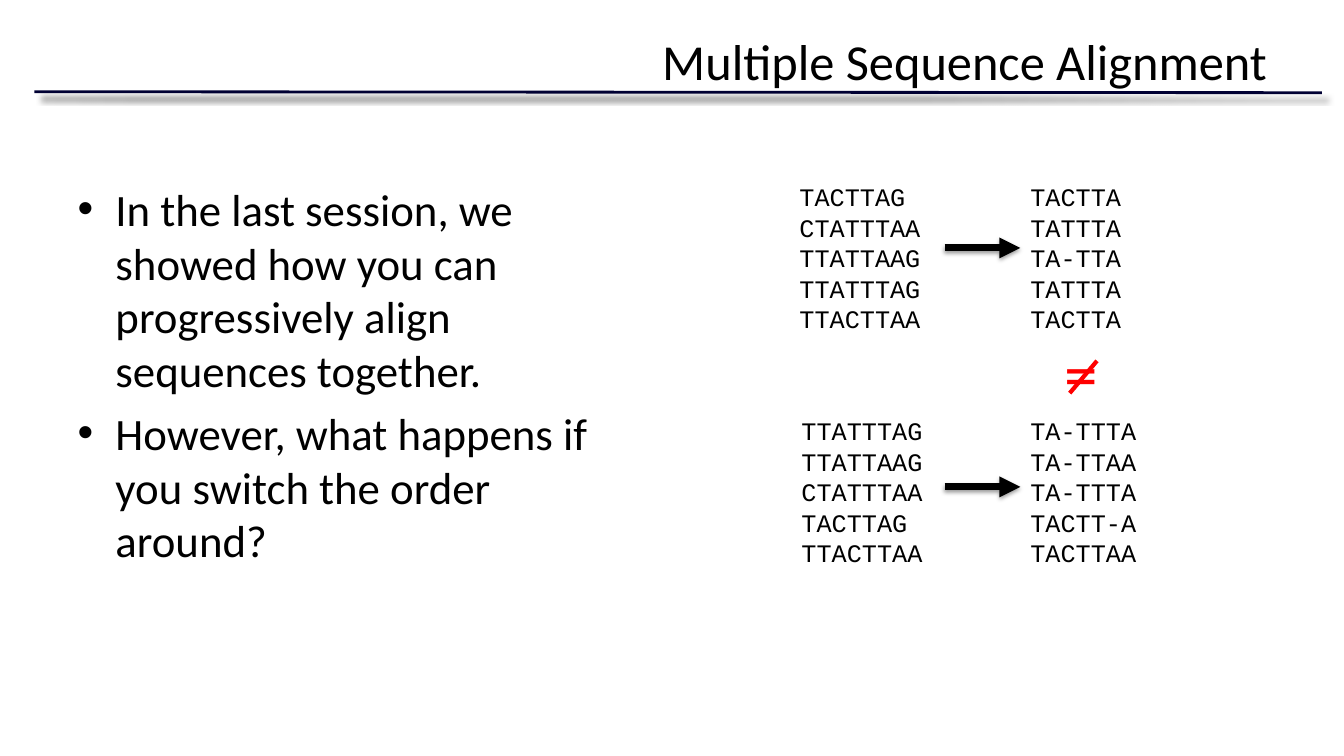
"""Build the Multiple Sequence Alignment slide."""
import pptx
import pptx.util
import pptx.dml.color
import pptx.enum.shapes
import pptx.enum.text
import pptx.oxml
import pptx.oxml.ns

Inches, Pt = pptx.util.Inches, pptx.util.Pt
RGBColor = pptx.dml.color.RGBColor
BLACK = RGBColor(0x00, 0x00, 0x00)
NAVY = RGBColor(0x00, 0x00, 0x33)
RED = RGBColor(0xFF, 0x00, 0x00)


def write(tf, text, size, font="Calibri", color=BLACK, align=None, spacing=None, wrap=True):
    tf.word_wrap = wrap
    tf.auto_size = pptx.enum.text.MSO_AUTO_SIZE.NONE
    tf.vertical_anchor = pptx.enum.text.MSO_ANCHOR.TOP
    for i, line in enumerate(text.split("\n")):
        p = tf.paragraphs[0] if i == 0 else tf.add_paragraph()
        p.alignment = align
        p.line_spacing = spacing
        r = p.add_run()
        r.text = line
        r.font.size = Pt(size)
        r.font.name = font
        r.font.color.rgb = color


def add_line(start, end, color, width, shadow=None, arrow=False):
    s = shapes.add_connector(pptx.enum.shapes.MSO_CONNECTOR.STRAIGHT,
                             *[Inches(v) for v in start + end])
    s.line.color.rgb = color
    s.line.width = Pt(width)
    ns = pptx.oxml.ns.nsdecls("a")
    if arrow:
        s.line._get_or_add_ln().append(
            pptx.oxml.parse_xml(f'<a:tailEnd {ns} type="triangle"/>'))
    outer = ""
    if shadow:
        alpha, blur, dist, angle = shadow
        outer = (f'<a:outerShdw blurRad="{Pt(blur)}" dist="{Pt(dist)}" dir="{angle * 60000}" '
                 f'rotWithShape="0"><a:srgbClr val="{BLACK}"><a:alpha val="{alpha * 1000}"/>'
                 '</a:srgbClr></a:outerShdw>')
    s._element.spPr.append(
        pptx.oxml.parse_xml(f'<a:effectLst {ns}>{outer}</a:effectLst>'))


prs = pptx.Presentation()
prs.slide_width, prs.slide_height = Inches(13.33), Inches(7.5)
slide = prs.slides.add_slide(prs.slide_layouts[1])
shapes = slide.shapes

add_line((0.34, 0.91), (13.11, 0.92), NAVY, 2, shadow=(50, 4, 6, 45))

title, body = shapes.title, slide.placeholders[1]
for s, box in ((title, (0.67, 0.25, 12, 1.25)), (body, (0.67, 1.75, 5.42, 4.95))):
    s.left, s.top, s.width, s.height = [Inches(v) for v in box]
write(title.text_frame, "Multiple Sequence Alignment", 36,
      align=pptx.enum.text.PP_ALIGN.RIGHT)
write(body.text_frame,
      "In the last session, we showed how you can progressively align sequences together.\n"
      "However, what happens if you switch the order around?", 32)

sequences = [
    (7.83, 1.75, "TACTTAG\nCTATTTAA\nTTATTAAG\nTTATTTAG\nTTACTTAA"),
    (10.12, 1.75, "TACTTA\nTATTTA\nTA-TTA\nTATTTA\nTACTTA"),
    (7.85, 4.07, "TTATTTAG\nTTATTAAG\nCTATTTAA\nTACTTAG\nTTACTTAA"),
    (10.12, 4.07, "TA-TTTA\nTA-TTAA\nTA-TTTA\nTACTT-A\nTACTTAA"),
]
for x, y, text in sequences:
    s = shapes.add_textbox(Inches(x), Inches(y), Inches(1.75), Inches(1.62))
    write(s.text_frame, text, 18, font="Courier New", spacing=Pt(21.8))

for y in (2.46, 4.83):
    add_line((9.37, y), (10.12, y), BLACK, 5, shadow=(38, 3.1, 1.6, 90), arrow=True)

s = shapes.add_textbox(Inches(10.46), Inches(3.24), Inches(0.54), Inches(0.91))
write(s.text_frame, "=", 48, color=RED, wrap=False)
add_line((10.88, 3.58), (10.61, 3.9), RED, 3)

prs.save("out.pptx")
